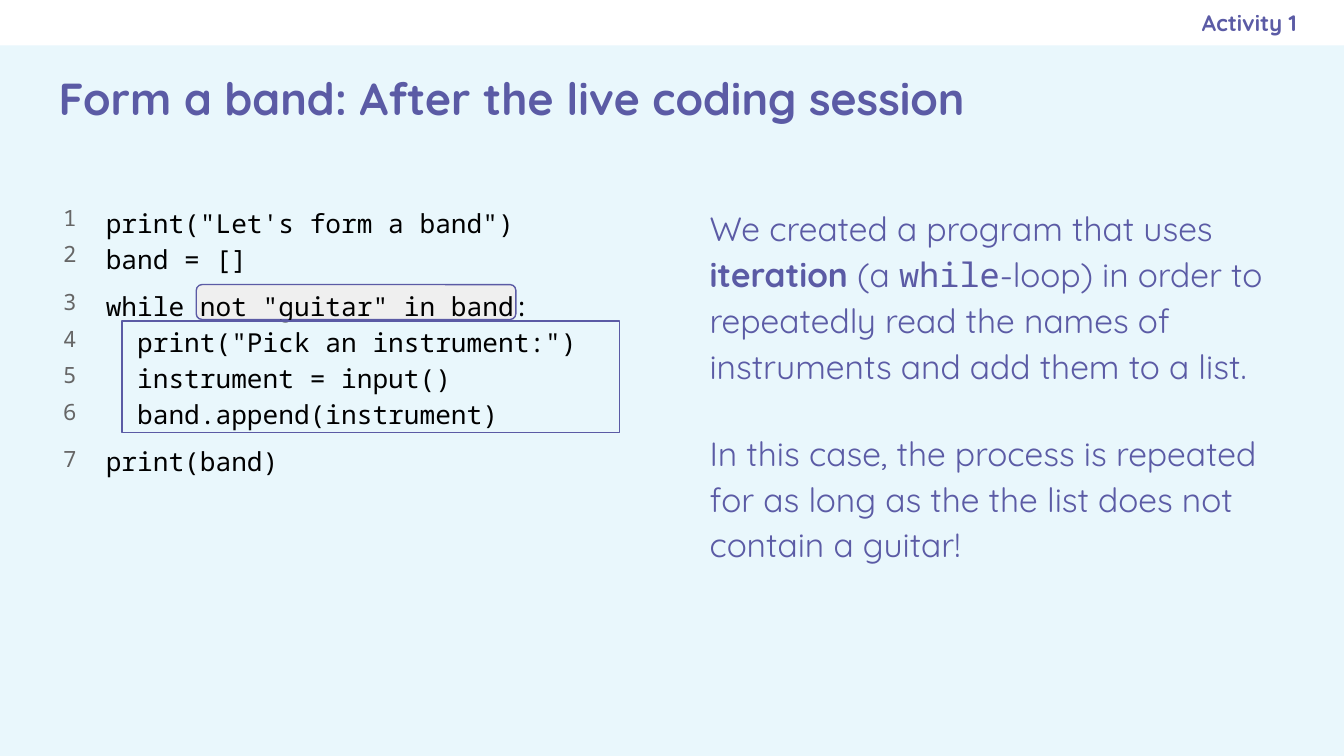
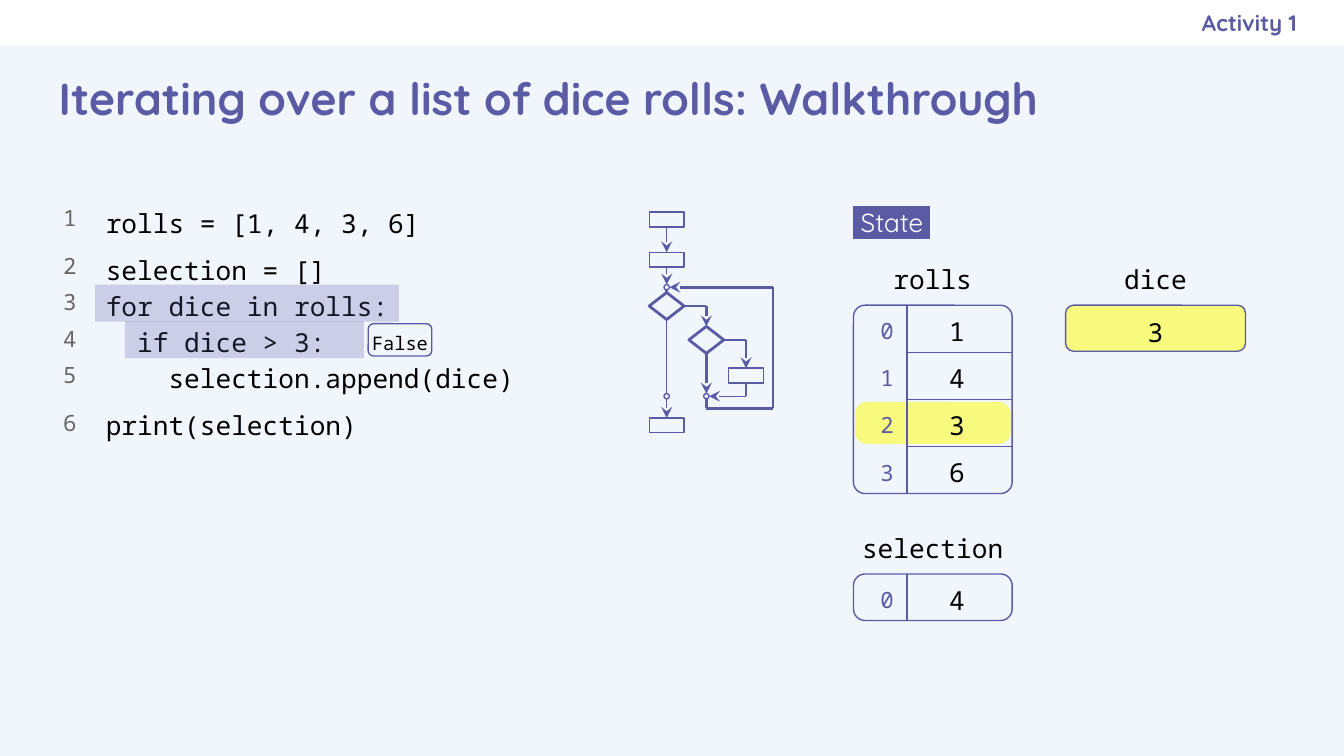
from dataclasses import dataclass

from lxml import etree
from pptx import Presentation
from pptx.dml.color import RGBColor
from pptx.enum.shapes import MSO_CONNECTOR, MSO_SHAPE
from pptx.enum.text import MSO_ANCHOR, MSO_AUTO_SIZE, PP_ALIGN
from pptx.oxml.ns import qn
from pptx.util import Cm, Pt

RECT = MSO_SHAPE.RECTANGLE
ROUND = MSO_SHAPE.ROUNDED_RECTANGLE
GATE = MSO_SHAPE.FLOWCHART_DECISION
RING = MSO_SHAPE.OVAL
STRAIGHT = MSO_CONNECTOR.STRAIGHT
LEFT, MID, RIGHT = PP_ALIGN.LEFT, PP_ALIGN.CENTER, PP_ALIGN.RIGHT
TOP, MIDDLE = MSO_ANCHOR.TOP, MSO_ANCHOR.MIDDLE
NORTH, WEST, SOUTH, EAST = range(4)
PLAIN = "{2D5ABB26-0587-4C30-8999-92F81FD0307C}"


@dataclass(frozen=True)
class Theme:
    ink: str = "5B5BA5"
    black: str = "000000"
    white: str = "FFFFFF"
    gray: str = "666666"
    pale: str = "EFEFEF"
    mark: str = "FFFF00"
    sky: str = "E9F7FC"
    mist: str = "F1F5FC"
    sans: str = "Quicksand"
    mono: str = "Noto Sans Mono"
    head: int = 24
    body: int = 18
    code: int = 14
    small: int = 12
    tiny: int = 10
    thin: float = 0.75
    thick: float = 1.5


T = Theme()


def tint(run, size, hue, font, bold=False):
    run.font.size = Pt(size)
    run.font.name = font
    run.font.bold = bold
    run.font.color.rgb = RGBColor.from_string(hue)


def lay(para, align=LEFT, space=1.15, before=0):
    para.alignment = align
    para.line_spacing = space
    para.space_before = Pt(before)


def frame(shape, pad=(0.25, 0.25, 0.25, 0.25), anchor=TOP):
    text = shape.text_frame
    text.word_wrap = True
    text.auto_size = MSO_AUTO_SIZE.NONE
    text.vertical_anchor = anchor
    text.margin_left, text.margin_top, text.margin_right, text.margin_bottom = map(Cm, pad)
    return text


def write(text, words, size, hue, font, bold=False, align=LEFT, space=1.15):
    text.text = words
    para = text.paragraphs[0]
    lay(para, align, space)
    tint(para.runs[0], size, hue, font, bold)
    return para.runs[0]


def area(slide, box, **opts):
    return frame(slide.shapes.add_textbox(*map(Cm, box)), **opts)


def panel(slide, kind, box, fill=None, alpha=None, line=None, radius=None):
    shape = slide.shapes.add_shape(kind, *map(Cm, box))
    shape.shadow.inherit = False
    if radius:
        shape.adjustments[0] = radius / min(box[2:])
    if fill:
        shape.fill.solid()
        shape.fill.fore_color.rgb = RGBColor.from_string(fill)
    else:
        shape.fill.background()
    if alpha:
        hue = shape.fill._xPr.find(".//" + qn("a:srgbClr"))
        etree.SubElement(hue, qn("a:alpha"), val=str(alpha * 1000))
    if line:
        shape.line.color.rgb = RGBColor.from_string(T.ink)
        shape.line.width = Pt(line)
    else:
        shape.line.fill.background()
    return shape


def place(shape, box):
    shape.left, shape.top, shape.width, shape.height = map(Cm, box)


def page(deck, title, back):
    slide = deck.slides.add_slide(deck.slide_layouts[0])
    slide.background.fill.solid()
    slide.background.fill.fore_color.rgb = RGBColor.from_string(back)
    head, tag = slide.placeholders
    place(head, (0.86, 0.86, 23.67, 1.96))
    write(frame(head, anchor=MIDDLE), title, T.head, T.ink, T.sans, True, space=1.0)
    place(tag, (14.6, 0, 9.91, 0.86))
    text = frame(tag, (0.25, 0, 0, 0), MIDDLE)
    write(text, "Activity 1", T.small, T.ink, T.sans, True, RIGHT, 1.0)
    return slide


def band(deck, slide):
    strip = panel(slide, RECT, (0, 0, 25.4, 0.86), T.white)
    deck.slide_layouts[0].shapes._spTree.insert(2, strip._element)


def code(slide, box, lines, gaps):
    left, top, width, height = box
    main = area(slide, (left + 0.86, top, width - 0.86, height))
    side = area(slide, (left, top + 0.05, 0.56, height), pad=(0, 0.15, 0, 0.25))
    nums = [str(n) for n in range(1, len(lines) + 1)]
    looks = (
        (main, lines, T.code, T.black, LEFT, 0),
        (side, nums, T.small, T.gray, RIGHT, 3),
    )
    for text, rows, size, hue, align, base in looks:
        text.text = "\n".join(rows)
        for n, para in enumerate(text.paragraphs, 1):
            before = base + 6 * (n in gaps) if n > 1 else 0
            lay(para, align, before=before)
            tint(para.runs[0], size, hue, T.mono)


def prose(slide, box, parts):
    para = area(slide, box, pad=(0.25, 0.25, 0.15, 0.25)).paragraphs[0]
    lay(para, space=1.14)
    for words, font, bold in parts:
        run = para.add_run()
        run.text = words
        tint(run, T.body, T.ink, font, bold)


def label(slide, box, words):
    left, top, width, _ = box
    wide = 3.3
    text = area(slide, (left + (width - wide) / 2, top - 1.12, wide, 1.02))
    write(text, words, T.code, T.black, T.mono, align=MID)


def edge(cell, sides):
    props = cell._tc.get_or_add_tcPr()
    for n, side in enumerate(sides):
        line = etree.Element(qn("a:ln" + side), w=str(Pt(T.thin)))
        fill = etree.SubElement(line, qn("a:solidFill"))
        etree.SubElement(fill, qn("a:srgbClr"), val=T.ink)
        props.insert(n, line)


def array(slide, box, name, items, mark=None):
    left, top, width, height = box
    step = height / len(items)
    if mark is not None:
        spot = (left + 0.03, top + mark * step + 0.05, width - 0.06, step - 0.1)
        panel(slide, ROUND, spot, T.mark, 50, radius=0.22)
    panel(slide, ROUND, box, line=T.thin, radius=0.22)
    grid = slide.shapes.add_table(len(items), 2, *map(Cm, box)).table
    grid.first_row = grid.horz_banding = False
    grid._tbl.tblPr.find(qn("a:tableStyleId")).text = PLAIN
    grid.columns[0].width = Cm(1.01)
    grid.columns[1].width = Cm(width - 1.01)
    last = len(items) - 1
    for n, item in enumerate(items):
        grid.rows[n].height = Cm(step)
        rims = ["L"] + ["T"] * (n > 0) + ["B"] * (n < last)
        looks = ((str(n), T.small, T.ink, RIGHT, ["R"]), (item, T.code, T.black, MID, rims))
        for cell, (words, size, hue, align, sides) in zip(grid.rows[n].cells, looks):
            cell.margin_left, cell.margin_right = Cm(0.15), Cm(0.25)
            cell.margin_top = cell.margin_bottom = 0
            cell.vertical_anchor = MIDDLE
            cell.fill.background()
            write(cell.text_frame, words, size, hue, T.mono, align=align)
            edge(cell, sides)
    label(slide, box, name)


def port(shape, side):
    across, down = ((0.5, 0), (0, 0.5), (0.5, 1), (1, 0.5))[side]
    return int(shape.left + shape.width * across), int(shape.top + shape.height * down)


def route(slide, start, end, bends=(), width=T.thin, arrow=True):
    spots = [port(*start), *bends, port(*end)]
    legs = []
    for here, there in zip(spots, spots[1:]):
        leg = slide.shapes.add_connector(STRAIGHT, *here, *there)
        leg.line.color.rgb = RGBColor.from_string(T.ink)
        leg.line.width = Pt(width)
        etree.SubElement(leg._element.spPr, qn("a:effectLst"))
        legs.append(leg)
    if start[0].auto_shape_type != RING:
        legs[0].begin_connect(*start)
    if end[0].auto_shape_type != RING:
        legs[-1].end_connect(*end)
    if arrow:
        etree.SubElement(legs[-1].line._get_or_add_ln(), qn("a:tailEnd"), type="stealth")


def flow(slide, left, top):
    sizes = {RECT: (0.66, 0.28), GATE: (0.66, 0.51), RING: (0.1, 0.1)}

    def node(kind, col, y, line=T.thin):
        wide, high = sizes[kind]
        mid = left + 0.33 + 0.75 * col
        return panel(slide, kind, (mid - wide / 2, top + y, wide, high), line=line)

    first, second, last = (node(RECT, 0, y) for y in (0, 0.76, 3.89))
    join = node(RING, 0, 1.37)
    loop = node(GATE, 0, 1.52, T.thick)
    test = node(GATE, 1, 2.16, T.thick)
    step = node(RECT, 2, 2.95)
    done, back = (node(RING, col, 3.43) for col in (0, 1))

    def turn(across, down):
        return [(port(*across)[0], port(*down)[1])]

    route(slide, (first, SOUTH), (second, NORTH))
    route(slide, (second, SOUTH), (join, NORTH))
    route(slide, (join, SOUTH), (loop, NORTH), width=T.thick, arrow=False)
    route(slide, (loop, SOUTH), (done, NORTH), arrow=False)
    route(slide, (done, SOUTH), (last, NORTH))
    route(slide, (loop, EAST), (test, NORTH), turn((test, NORTH), (loop, EAST)), T.thick)
    route(slide, (test, EAST), (step, NORTH), turn((step, NORTH), (test, EAST)))
    route(slide, (test, SOUTH), (back, NORTH), width=T.thick)
    route(slide, (step, SOUTH), (back, EAST), turn((step, SOUTH), (back, EAST)))
    far, low = Cm(left + 2.34), Cm(top + 3.71)
    bends = [(port(back, SOUTH)[0], low), (far, low), (far, port(join, EAST)[1])]
    route(slide, (back, SOUTH), (join, EAST), bends, T.thick)


def state(slide, left, top):
    text = area(slide, (left - 0.25, top, 4.52, 1.02), pad=(0.25, 0.25, 0.15, 0.25))
    run = write(text, " State ", T.code, T.white, T.sans, space=1.14)
    glow = etree.Element(qn("a:highlight"))
    etree.SubElement(glow, qn("a:srgbClr"), val=T.ink)
    run._r.rPr.find(qn("a:solidFill")).addnext(glow)
    array(slide, (left, top + 2.21, 3, 3.56), "rolls", ["1", "4", "3", "6"], 2)
    array(slide, (left, top + 7.29, 3, 0.88), "selection", ["4"])
    box = (left + 4.01, top + 2.21, 3.4, 0.87)
    value = panel(slide, ROUND, box, T.mark, 50, T.thin, 0.15)
    text = frame(value, (0.25, 0.05, 0.25, 0), MIDDLE)
    write(text, "3", T.code, T.black, T.mono, align=MID)
    label(slide, box, "dice")


def recap(deck):
    slide = page(deck, "Form a band: After the live coding session", T.sky)
    band(deck, slide)
    panel(slide, ROUND, (3.71, 5.38, 6.04, 0.66), T.pale, line=T.thin, radius=0.11)
    lines = [
        'print("Let\'s form a band")',
        "band = []",
        'while not "guitar" in band:',
        '  print("Pick an instrument:")',
        "  instrument = input()",
        "  band.append(instrument)",
        "print(band)",
    ]
    code(slide, (0.89, 3.58, 11.35, 9.42), lines, {3, 7})
    panel(slide, RECT, (2.31, 6.07, 9.4, 2.11), line=T.thin)
    notes = (
        (
            ("We created a program that uses ", T.sans, False),
            ("iteration", T.sans, True),
            (" (a ", T.sans, False),
            ("while", T.mono, False),
            ("-loop) in order to repeatedly read the names of instruments "
             "and add them to a list.", T.sans, False),
        ),
        (
            ("In this case, the process is repeated for as long as the the list "
             "does not contain a guitar!", T.sans, False),
        ),
    )
    for n, parts in enumerate(notes):
        prose(slide, (13.16, 3.58 + 4.24 * n, 11.35, 3.96), parts)


def walk(deck):
    slide = page(deck, "Iterating over a list of dice rolls: Walkthrough", T.mist)
    lines = [
        "rolls = [1, 4, 3, 6]",
        "selection = []",
        "for dice in rolls:",
        "  if dice > 3:",
        "    selection.append(dice)",
        "print(selection)",
    ]
    code(slide, (0.89, 3.58, 9.27, 9.42), lines, {2, 6})
    for box in ((1.8, 5.38, 5.74, 0.7), (2.36, 6.07, 4.52, 0.7)):
        panel(slide, RECT, box, T.ink, 25)
    flag = panel(slide, ROUND, (6.96, 6.12, 1.2, 0.61), line=T.thin, radius=0.1)
    write(frame(flag, (0, 0.05, 0, 0), MIDDLE), "False", T.tiny, T.black, T.mono, align=MID)
    flow(slide, 12.27, 4.01)
    state(slide, 16.13, 3.56)


def main():
    deck = Presentation()
    deck.slide_width, deck.slide_height = Cm(25.4), Cm(14.29)
    recap(deck)
    walk(deck)
    deck.save("out.pptx")


if __name__ == "__main__":
    main()
